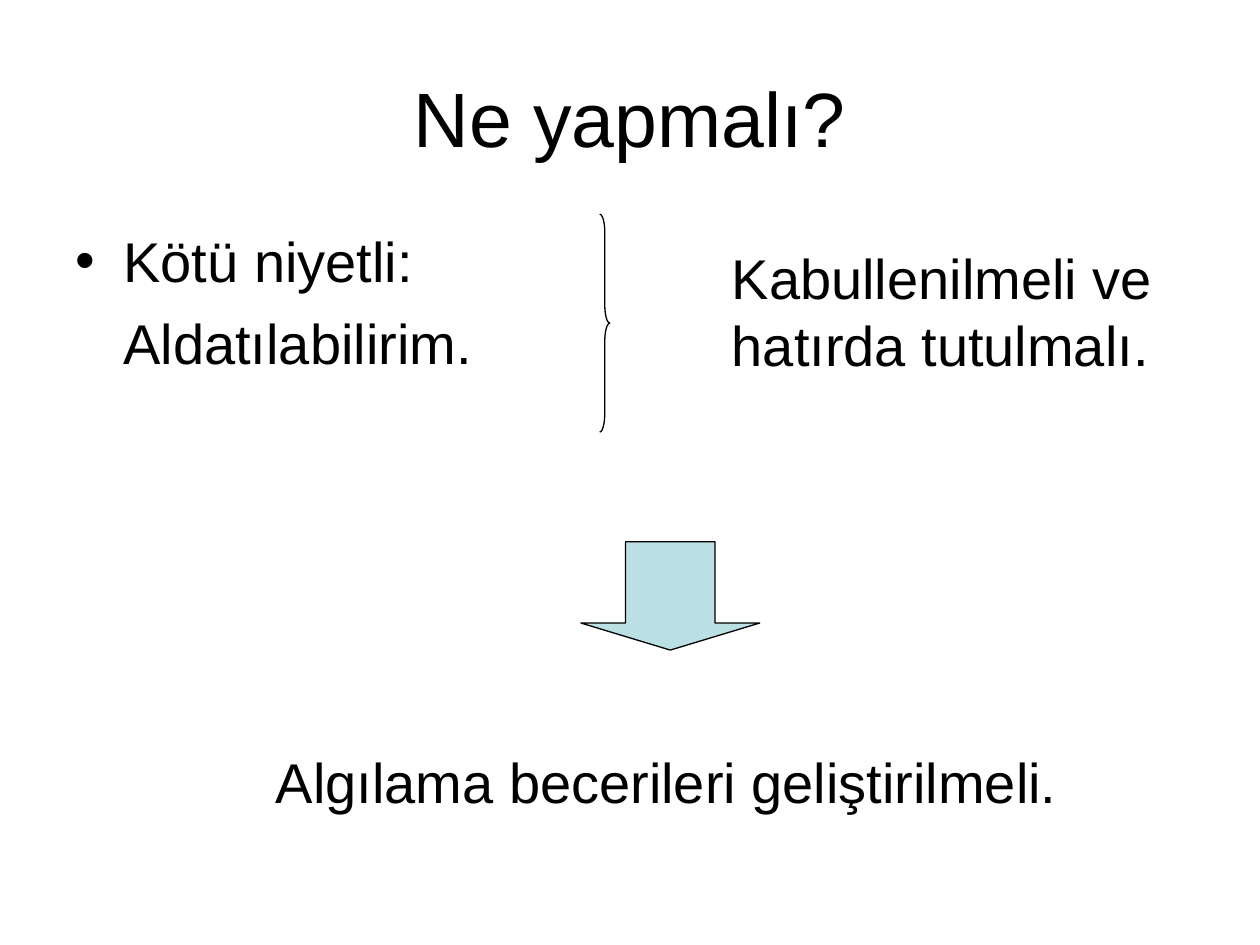
from lxml import etree
from pptx import Presentation
from pptx.dml.color import RGBColor
from pptx.enum.shapes import MSO_SHAPE
from pptx.enum.text import MSO_ANCHOR, MSO_AUTO_SIZE, PP_ALIGN
from pptx.oxml.ns import qn
from pptx.util import Inches, Pt

CENTER, LEFT = PP_ALIGN.CENTER, PP_ALIGN.LEFT
MIDDLE, TOP = MSO_ANCHOR.MIDDLE, MSO_ANCHOR.TOP
NO_AUTOFIT = MSO_AUTO_SIZE.NONE
RIGHT_BRACE, DOWN_ARROW = MSO_SHAPE.RIGHT_BRACE, MSO_SHAPE.DOWN_ARROW

COLORS = {"ink": "000000", "arrow": "BBE0E3"}


class SlideBuilder:
    font = "Arial"
    title_size = 44
    text_size = 32
    line_width = 0.75
    bullet_indent = 0.38

    def __init__(self, slide):
        self.slide = slide

    def color(self, name):
        return RGBColor.from_string(COLORS[name])

    def fill_frame(self, frame, text, size, align=LEFT, anchor=TOP):
        """Set the text of a frame and format its runs."""
        frame.text = text
        frame.auto_size = NO_AUTOFIT
        frame.vertical_anchor = anchor
        for paragraph in frame.paragraphs:
            paragraph.alignment = align
            for run in paragraph.runs:
                run.font.name = self.font
                run.font.size = Pt(size)
                run.font.color.rgb = self.color("ink")

    def place(self, placeholder, box):
        (placeholder.left, placeholder.top,
         placeholder.width, placeholder.height) = map(Inches, box)

    def title(self, text, box):
        title = self.slide.shapes.title
        self.place(title, box)
        self.fill_frame(title.text_frame, text, self.title_size, CENTER, MIDDLE)

    def bullet_with_continuation(self, text, box):
        """Give the first paragraph a bullet and align the rest with its text."""
        body = self.slide.placeholders[1]
        self.place(body, box)
        self.fill_frame(body.text_frame, text, self.text_size)
        indent = Inches(self.bullet_indent)
        for index, paragraph in enumerate(body.text_frame.paragraphs):
            paragraph.space_before = Pt(8)
            properties = paragraph._p.get_or_add_pPr()
            properties.set("marL", str(indent))
            properties.set("indent", str(0 if index else -indent))
            if index:
                etree.SubElement(properties, qn("a:buNone"))
            else:
                etree.SubElement(properties, qn("a:buChar"), char="•")

    def text(self, text, box, wrap=True):
        frame = self.slide.shapes.add_textbox(*map(Inches, box)).text_frame
        self.fill_frame(frame, text, self.text_size)
        frame.word_wrap = wrap

    def shape(self, kind, box, adjustments, fill=None):
        shape = self.slide.shapes.add_shape(kind, *map(Inches, box))
        shape.shadow.inherit = False
        for index, value in enumerate(adjustments):
            shape.adjustments[index] = value
        if fill:
            shape.fill.solid()
            shape.fill.fore_color.rgb = self.color(fill)
        else:
            shape.fill.background()
        shape.line.color.rgb = self.color("ink")
        shape.line.width = Pt(self.line_width)


def main():
    presentation = Presentation()
    presentation.slide_width = Inches(10)
    presentation.slide_height = Inches(7.5)
    builder = SlideBuilder(
        presentation.slides.add_slide(presentation.slide_layouts[1]))

    builder.title("Ne yapmalı?", (0.5, 0.3, 9, 1.25))
    builder.bullet_with_continuation(
        "Kötü niyetli:\nAldatılabilirim.", (0.5, 1.75, 5.37, 4.95))
    builder.shape(RIGHT_BRACE, (4.76, 1.7, 0.08, 1.73), (1.8, 0.5))
    builder.text("Kabullenilmeli ve\nhatırda tutulmalı.",
                 (5.71, 1.88, 3.54, 1.17), wrap=False)
    builder.text("Algılama becerileri geliştirilmeli.",
                 (2.09, 5.88, 7.09, 0.64))
    builder.shape(DOWN_ARROW, (4.61, 4.3, 1.42, 0.86), (0.5, 0.25), "arrow")

    presentation.save("out.pptx")


if __name__ == "__main__":
    main()
